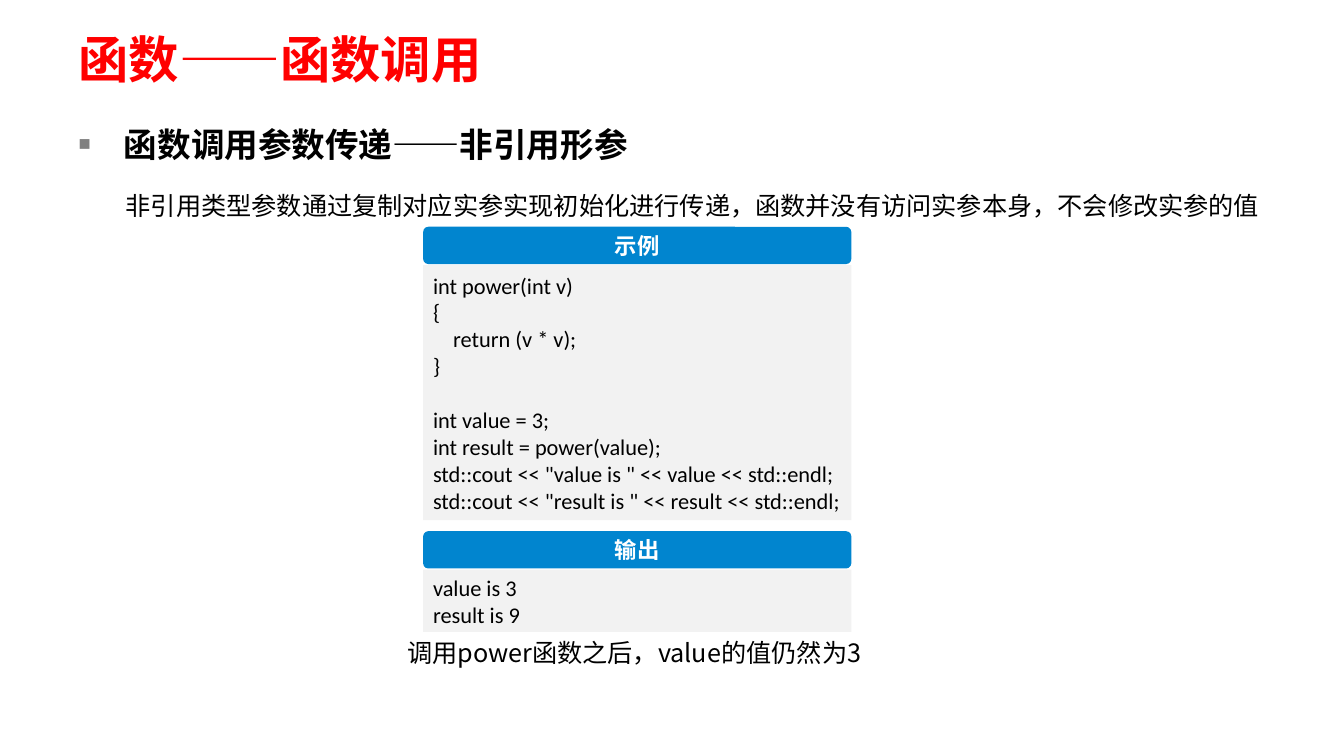
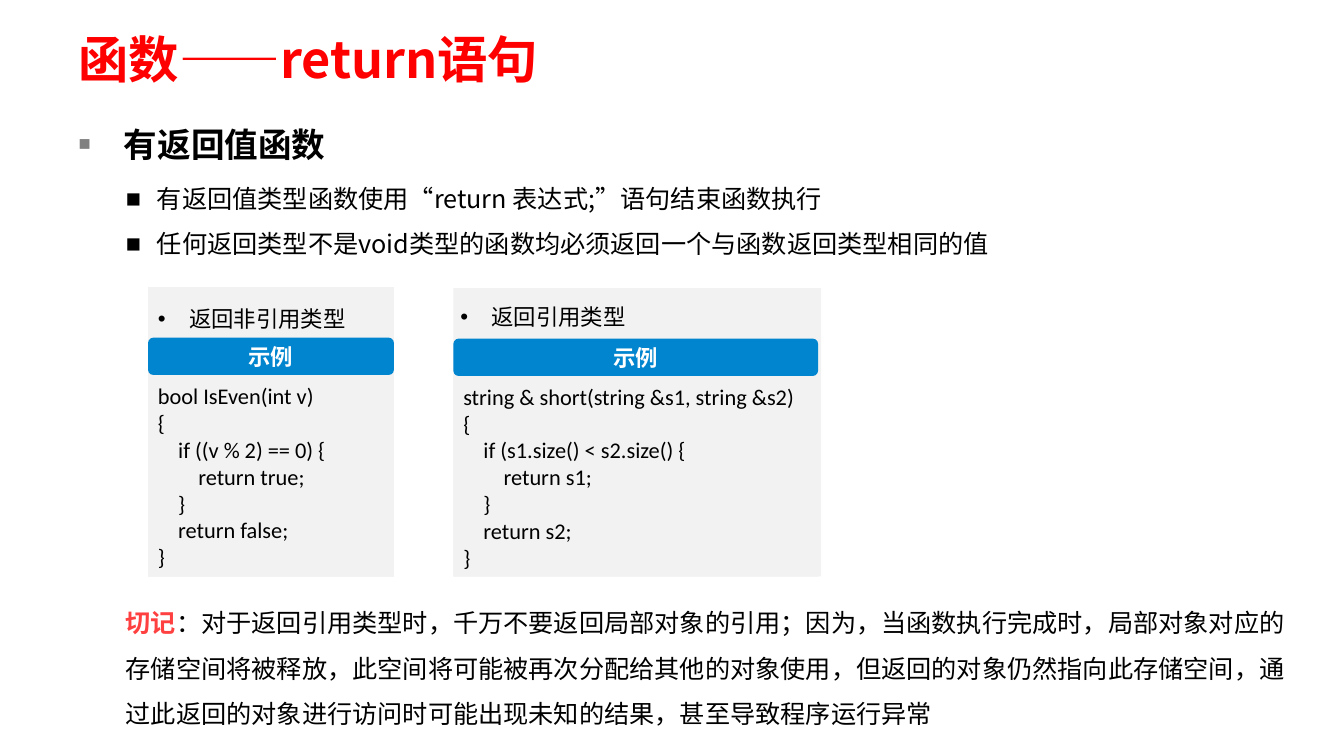
from lxml.etree import SubElement as Sub
from pptx import Presentation
from pptx.dml.color import RGBColor as Rgb
from pptx.enum.shapes import MSO_SHAPE as Kind
from pptx.enum.text import MSO_ANCHOR as Anchor, PP_ALIGN as Align
from pptx.oxml.ns import qn
from pptx.util import Inches, Pt

INK = {"title": "FF0000", "text": "000000", "bullet": "808080", "panel": "F2F2F2",
       "head": "0185CF", "white": "FFFFFF", "alert": "FF4040"}
HAN, CODE = "Noto Sans CJK SC", "Calibri"
STEP = 0.38


def place(box):
    return [Inches(v) for v in box]


def style(font, size, ink="text", bold=False, face=HAN):
    font.size, font.bold, font.name = Pt(size), bold, face
    font.color.rgb = Rgb.from_string(INK[ink])


def add_east(para):
    for latin in para._p.iter(qn("a:latin")):
        east = latin.makeelement(qn("a:ea"), {"typeface": latin.get("typeface")})
        latin.addnext(east)


def add_mark(para, char, indent, ink, scale):
    props = para._p.get_or_add_pPr()
    props.set("marL", str(Inches(indent)))
    props.set("indent", str(-Inches(indent)))
    color = Sub(props, qn("a:buClr"))
    Sub(color, qn("a:srgbClr")).set("val", INK[ink])
    Sub(props, qn("a:buSzPct")).set("val", str(scale * 1000))
    Sub(props, qn("a:buFont")).set("typeface", "Arial")
    Sub(props, qn("a:buChar")).set("char", char)


def write(frame, lines, size, ink="text", bold=False, face=HAN, align=Align.LEFT,
          space=None, mark=None, indent=0.31, tint="text", scale=100):
    frame.word_wrap = True
    frame.text = "\n".join(lines)
    for para in frame.paragraphs:
        para.alignment = align
        if space:
            para.line_spacing = space
        if mark:
            add_mark(para, mark, indent, tint, scale)
        style(para.font, size, ink, bold, face)
        add_east(para)


def add_text(slide, box, lines, size, **look):
    frame = slide.shapes.add_textbox(*place(box)).text_frame
    write(frame, lines, size, **look)
    return frame


def add_block(slide, box, ink, kind=Kind.RECTANGLE):
    shape = slide.shapes.add_shape(kind, *place(box))
    shape.shadow.inherit = False
    shape.fill.solid()
    shape.fill.fore_color.rgb = Rgb.from_string(INK[ink])
    shape.line.fill.background()
    shape.text_frame.vertical_anchor = Anchor.MIDDLE
    return shape


def add_panel(slide, box, head, code):
    x, y, w, h = box
    body = add_block(slide, (x, y + STEP, w, h - STEP), "panel")
    write(body.text_frame, code.split("\n"), 16, face=CODE)
    bar = add_block(slide, (x, y, w, 0.37), "head", Kind.ROUNDED_RECTANGLE)
    bar.adjustments[0] = 0.14
    write(bar.text_frame, [head], 16, ink="white", bold=True, align=Align.CENTER)


def add_card(slide, box, label, code, slip=0):
    x, y, w, h = box
    add_block(slide, box, "panel")
    add_panel(slide, (x, y + 0.5, w - slip, h - 0.5), "示例", code)
    add_text(slide, (x - slip, y - slip, w, 0.5), [label], 16, space=1.5, mark="•")


def add_page(deck, title, topic):
    slide = deck.slides.add_slide(deck.slide_layouts[6])
    top = add_text(slide, (0.65, 0.28, 12.13, 0.59), [title], 36, ink="title", bold=True)
    sub = add_text(slide, (0.65, 0.99, 12.13, 0.71), [topic], 24, bold=True, space=1.4,
                   mark="■", indent=0.45, tint="bullet", scale=60)
    for frame in (top, sub):
        frame.vertical_anchor = Anchor.MIDDLE
        frame.margin_left = frame.margin_right = Inches(0.13)
        frame.margin_top = frame.margin_bottom = Inches(0.07)
    return slide


POWER = """int power(int v)
{
    return (v * v);
}

int value = 3;
int result = power(value);
std::cout << "value is " << value << std::endl;
std::cout << "result is " << result << std::endl;"""

EVEN = """bool IsEven(int v)
{
    if ((v % 2) == 0) {
        return true;
    }
    return false;
}"""

SHORT = """string & short(string &s1, string &s2)
{
    if (s1.size() < s2.size() {
        return s1;
    }
    return s2;
}"""


def add_call(deck):
    slide = add_page(deck, "函数——函数调用", "函数调用参数传递——非引用形参")
    add_text(slide, (1.15, 1.69, 11.5, 0.5),
             ["非引用类型参数通过复制对应实参实现初始化进行传递，函数并没有访问实参本身，不会修改实参的值"],
             18, space=1.5)
    add_panel(slide, (4.2, 2.25, 4.25, 2.91), "示例", POWER)
    add_panel(slide, (4.2, 5.27, 4.25, 1), "输出", "value is 3\nresult is 9")
    add_text(slide, (3.91, 6.27, 4.77, 0.4), ["调用power函数之后，value的值仍然为3"],
             18, align=Align.CENTER)


def add_return(deck):
    slide = add_page(deck, "函数——return语句", "有返回值函数")
    add_text(slide, (1.15, 1.62, 11.42, 1.01),
             ["有返回值类型函数使用“return 表达式;”语句结束函数执行",
              "任何返回类型不是void类型的函数均必须返回一个与函数返回类型相同的值"],
             18, space=1.5, mark="■")
    add_card(slide, (1.47, 2.85, 2.44, 2.87), "返回非引用类型", EVEN)
    add_card(slide, (4.5, 2.86, 3.65, 2.86), "返回引用类型", SHORT, slip=0.03)
    note = add_text(slide, (1.15, 5.83, 11.81, 1.46), ["切记"], 18, space=1.5)
    para = note.paragraphs[0]
    style(para.runs[0].font, 18, "alert", True)
    rest = para.add_run()
    rest.text = ("：对于返回引用类型时，千万不要返回局部对象的引用；因为，当函数执行完成时，"
                 "局部对象对应的存储空间将被释放，此空间将可能被再次分配给其他的对象使用，"
                 "但返回的对象仍然指向此存储空间，通过此返回的对象进行访问时可能出现未知的结果，"
                 "甚至导致程序运行异常")
    style(rest.font, 18)
    for run in para.runs:
        latin = run.font._element.find(qn("a:latin"))
        latin.addnext(latin.makeelement(qn("a:ea"), {"typeface": HAN}))


def main():
    deck = Presentation()
    deck.slide_width, deck.slide_height = Inches(13.34), Inches(7.5)
    add_call(deck)
    add_return(deck)
    deck.save("out.pptx")


if __name__ == "__main__":
    main()
